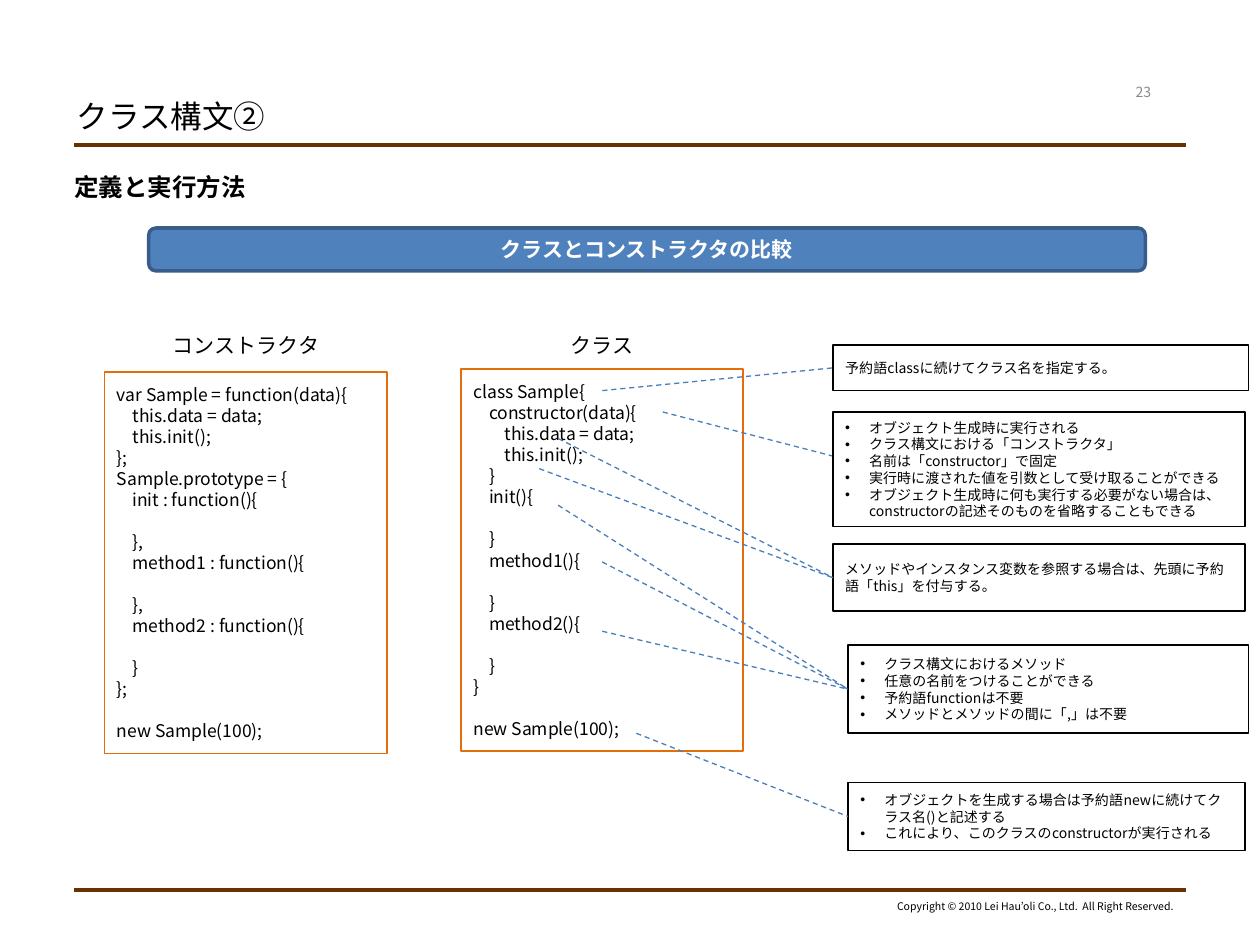
from lxml.etree import SubElement
from pptx import Presentation
from pptx.dml.color import RGBColor
from pptx.enum.dml import MSO_LINE
from pptx.enum.shapes import MSO_CONNECTOR, MSO_SHAPE
from pptx.enum.text import MSO_ANCHOR, MSO_AUTO_SIZE, PP_ALIGN
from pptx.oxml.ns import qn
from pptx.util import Inches, Pt

COLORS = {
    "text": "000000", "white": "FFFFFF", "number": "898989", "rule": "663300",
    "code_border": "E46C0A", "leader": "4A7EBB",
    "banner": "4F81BD", "banner_border": "385D8A",
}
BODY_FONT = "Noto Sans CJK JP"
LABEL_FONT = "Courier New"

CONSTRUCTOR_CODE = """var Sample = function(data){
    this.data = data;
    this.init();
};
Sample.prototype = {
    init : function(){

    },
    method1 : function(){

    },
    method2 : function(){

    }
};

new Sample(100);"""

CLASS_CODE = """class Sample{
    constructor(data){
        this.data = data;
        this.init();
    }
    init(){

    }
    method1(){

    }
    method2(){

    }
}

new Sample(100);"""

# box, lines, bulleted, starting points of the leaders
NOTES = [
    ((6.61, 2.74, 3.3, 0.36), ["予約語classに続けてクラス名を指定する。"], False, [(4.78, 3.1)]),
    ((6.61, 3.27, 3.27, 0.91), [
        "オブジェクト生成時に実行される",
        "クラス構文における「コンストラクタ」",
        "名前は「constructor」で固定",
        "実行時に渡された値を引数として受け取ることができる",
        "オブジェクト生成時に何も実行する必要がない場合は、"
        "constructorの記述そのものを省略することもできる",
    ], True, []),
    ((6.61, 4.32, 3.27, 0.53),
     ["メソッドやインスタンス変数を参照する場合は、先頭に予約語「this」を付与する。"],
     False, [(4.43, 3.48), (4.28, 3.72)]),
    ((6.73, 5.12, 3.18, 0.7), [
        "クラス構文におけるメソッド",
        "任意の名前をつけることができる",
        "予約語functionは不要",
        "メソッドとメソッドの間に「,」は不要",
    ], True, [(4.43, 4.01), (4.78, 4.46), (4.78, 5.01)]),
    ((6.73, 6.21, 3.15, 0.54), [
        "オブジェクトを生成する場合は予約語newに続けてクラス名()と記述する",
        "これにより、このクラスのconstructorが実行される",
    ], True, [(5.05, 5.82)]),
]


def rgb(name):
    return RGBColor.from_string(COLORS[name])


def add_bullet(paragraph):
    properties = paragraph._p.get_or_add_pPr()
    properties.set("marL", str(Inches(0.19)))
    properties.set("indent", str(-Inches(0.19)))
    SubElement(properties, qn("a:buFont"), typeface="Arial")
    SubElement(properties, qn("a:buChar"), char="•")


def write(shape, lines, size, color="text", font=BODY_FONT, bold=False,
          align=PP_ALIGN.LEFT, anchor=MSO_ANCHOR.MIDDLE, wrap=True, bulleted=False):
    text_frame = shape.text_frame
    text_frame.text = "\n".join(lines)
    text_frame.word_wrap = wrap
    if not wrap:
        text_frame.auto_size = MSO_AUTO_SIZE.SHAPE_TO_FIT_TEXT
    text_frame.vertical_anchor = anchor
    for paragraph in text_frame.paragraphs:
        if bulleted:
            add_bullet(paragraph)
        paragraph.alignment = align
        paragraph.font.size = Pt(size)
        for run in paragraph.runs:
            run.font.size = Pt(size)
            run.font.bold = bold
            run.font.name = font
            run.font.color.rgb = rgb(color)
            SubElement(run._r.get_or_add_rPr(), qn("a:ea"), typeface=font)


def add_text(slide, box, text, size, **style):
    write(slide.shapes.add_textbox(*map(Inches, box)), [text], size, **style)


def add_box(slide, box, border, width, fill=None, kind=MSO_SHAPE.RECTANGLE):
    shape = slide.shapes.add_shape(kind, *map(Inches, box))
    shape.shadow.inherit = False
    if fill:
        shape.fill.solid()
        shape.fill.fore_color.rgb = rgb(fill)
    else:
        shape.fill.background()
    shape.line.color.rgb = rgb(border)
    shape.line.width = Pt(width)
    return shape


def add_line(slide, start, end, color, width):
    line = slide.shapes.add_connector(MSO_CONNECTOR.STRAIGHT, *map(Inches, (*start, *end)))
    SubElement(line._element.spPr, qn("a:effectLst"))
    line.line.color.rgb = rgb(color)
    line.line.width = Pt(width)
    return line


def add_leader(slide, start, end):
    leader = add_line(slide, start, end, "leader", 0.75)
    leader.line.dash_style = MSO_LINE.DASH
    return leader


def add_frame(slide):
    """Rules, title, heading, page number and copyright line."""
    for y in (1.15, 7.06):
        add_line(slide, (0.59, y), (9.41, y), "rule", 2.25)
    add_text(slide, (0.51, 0.76, 6.62, 0.32), "クラス構文②", 18)
    add_text(slide, (0.49, 1.32, 9, 0.4), "定義と実行方法", 14, bold=True, anchor=MSO_ANCHOR.TOP)
    add_text(slide, (8.78, 0.61, 0.59, 0.24), "23", 8, color="number", align=PP_ALIGN.CENTER)
    add_text(slide, (6.99, 7.09, 2.42, 0.2),
             "Copyright © 2010 Lei Hau’oli Co., Ltd.  All Right Reserved.", 6,
             align=PP_ALIGN.RIGHT, anchor=MSO_ANCHOR.TOP, wrap=False)


def add_banner(slide, box, text):
    banner = add_box(slide, box, "banner_border", 2, "banner", MSO_SHAPE.ROUNDED_RECTANGLE)
    write(banner, [text], 12, color="white", bold=True, align=PP_ALIGN.CENTER)


def add_code_panel(slide, box, label, label_width, code):
    left, top, width, height = box
    label_left = left + (width - label_width) / 2
    add_text(slide, (label_left, 2.59, label_width, 0.3), label, 12, font=LABEL_FONT,
             align=PP_ALIGN.CENTER, anchor=MSO_ANCHOR.TOP, wrap=False)
    write(add_box(slide, box, "code_border", 1), code.split("\n"), 10)


def add_note(slide, box, lines, bulleted, starts):
    left, top, width, height = box
    note = add_box(slide, box, "text", 1, "white")
    write(note, lines, 8, bulleted=bulleted)
    for start in starts:
        add_leader(slide, start, (left, top + height / 2)).end_connect(note, 1)


def main():
    presentation = Presentation()
    presentation.slide_width, presentation.slide_height = Inches(10), Inches(7.5)
    slide = presentation.slides.add_slide(presentation.slide_layouts[6])
    add_frame(slide)
    add_banner(slide, (1.18, 1.81, 7.91, 0.34), "クラスとコンストラクタの比較")
    add_code_panel(slide, (0.83, 2.95, 2.24, 3.03), "コンストラクタ", 1.4, CONSTRUCTOR_CODE)
    add_code_panel(slide, (3.66, 2.93, 2.24, 3.03), "クラス", 0.72, CLASS_CODE)
    # This leader runs on behind the constructor note.
    add_leader(slide, (5.26, 3.27), (6.88, 3.69))
    for note in NOTES:
        add_note(slide, *note)
    presentation.save("out.pptx")


if __name__ == "__main__":
    main()
